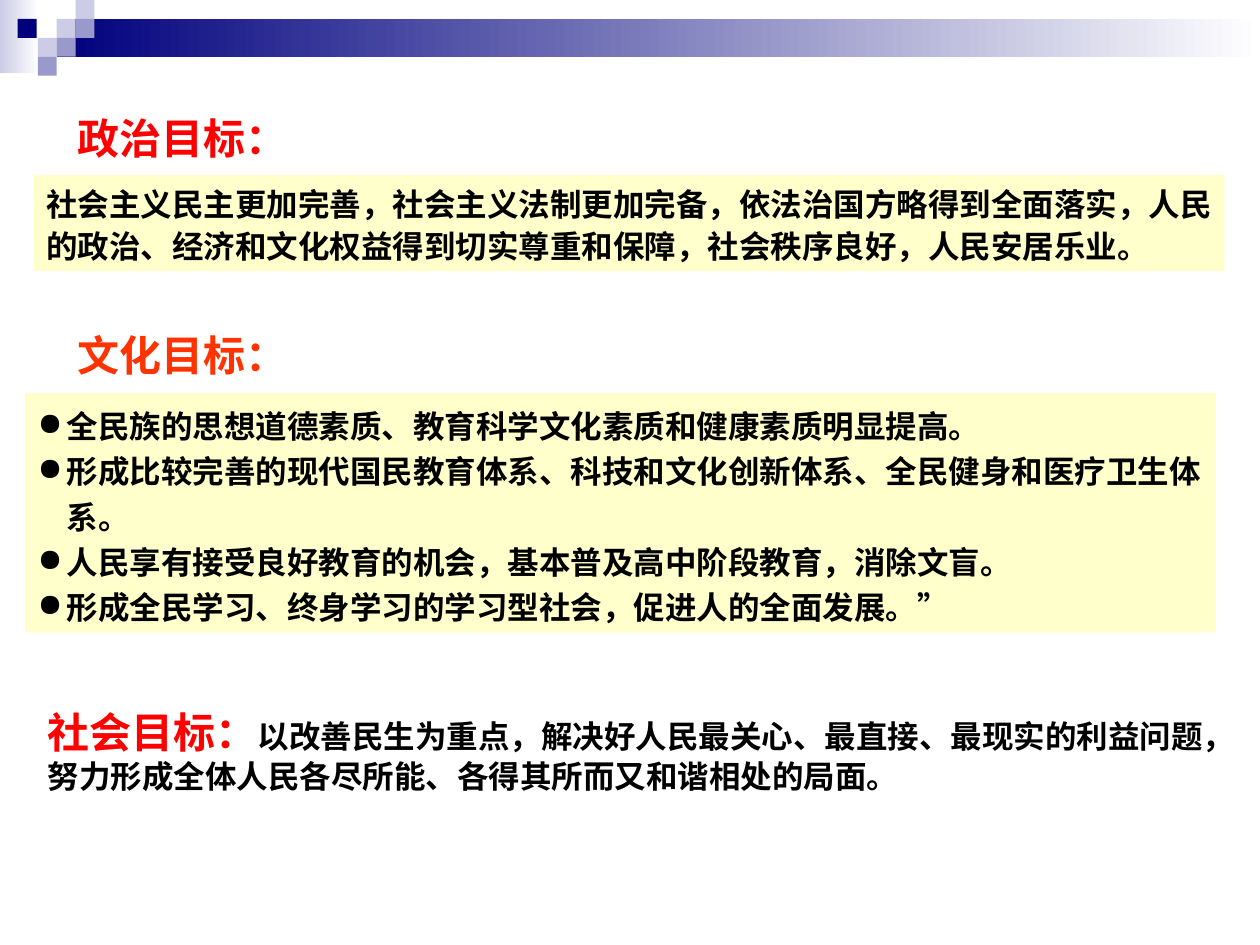
import lxml.etree
import pptx
import pptx.dml.color
import pptx.enum.shapes
import pptx.enum.text
import pptx.oxml.ns
import pptx.util
from pptx.util import Inches

NAVY = pptx.dml.color.RGBColor(0x00, 0x00, 0x7D)
LAVENDER = pptx.dml.color.RGBColor(0xCC, 0xCC, 0xE6)
VIOLET = pptx.dml.color.RGBColor(0x99, 0x99, 0xCC)
CREAM = pptx.dml.color.RGBColor(0xFF, 0xFF, 0xCC)
WHITE = pptx.dml.color.RGBColor(0xFF, 0xFF, 0xFF)
BLACK = pptx.dml.color.RGBColor(0x00, 0x00, 0x00)
RED = pptx.dml.color.RGBColor(0xFF, 0x00, 0x00)
ORANGE = pptx.dml.color.RGBColor(0xFF, 0x33, 0x00)

presentation = pptx.Presentation()
presentation.slide_width = Inches(10)
presentation.slide_height = Inches(7.5)
slide = presentation.slides.add_slide(presentation.slide_layouts[6])


def add_rectangle(left, top, width, height, color, fade=False):
    """Add a borderless rectangle, optionally fading to white on the right."""
    shape = slide.shapes.add_shape(
        pptx.enum.shapes.MSO_SHAPE.RECTANGLE,
        Inches(left), Inches(top), Inches(width), Inches(height))
    shape.shadow.inherit = False
    shape.line.fill.background()
    if fade:
        shape.fill.gradient()
        shape.fill.gradient_angle = 0
        for stop, stop_color in zip(shape.fill.gradient_stops, (color, WHITE)):
            stop.color.rgb = stop_color
    else:
        shape.fill.solid()
        shape.fill.fore_color.rgb = color
    return shape


def write_text(shape, paragraphs, wrap=True, line_spacing=None, bullet=None):
    """Fill a shape with paragraphs, each a list of (text, size, color) runs."""
    frame = shape.text_frame
    frame.word_wrap = wrap
    frame.auto_size = pptx.enum.text.MSO_AUTO_SIZE.SHAPE_TO_FIT_TEXT
    frame.vertical_anchor = pptx.enum.text.MSO_ANCHOR.TOP
    for index, runs in enumerate(paragraphs):
        paragraph = frame.add_paragraph() if index else frame.paragraphs[0]
        paragraph.alignment = pptx.enum.text.PP_ALIGN.LEFT
        if line_spacing:
            paragraph.line_spacing = line_spacing
        if bullet:
            properties = paragraph._p.get_or_add_pPr()
            properties.set("marL", str(Inches(0.23)))
            properties.set("indent", str(-Inches(0.23)))
            mark = lxml.etree.SubElement(properties, pptx.oxml.ns.qn("a:buChar"))
            mark.set("char", bullet)
        for text, size, color in runs:
            run = paragraph.add_run()
            run.text = text
            run.font.name = "Arial"
            run.font.size = pptx.util.Pt(size)
            run.font.bold = True
            run.font.color.rgb = color


# Header band and its mosaic of small squares
add_rectangle(0, 0, 0.31, 0.58, LAVENDER, fade=True)
add_rectangle(0.45, 0.15, 9.55, 0.3, NAVY, fade=True)
for left, top, color in [
    (0.45, 0.15, LAVENDER),
    (0.6, 0, LAVENDER),
    (0.6, 0.15, VIOLET),
    (0.3, 0.3, LAVENDER),
    (0.14, 0.15, NAVY),
    (0.45, 0.3, VIOLET),
    (0.3, 0.45, VIOLET),
]:
    add_rectangle(left, top, 0.15, 0.15, color)

# Headings of the two panels
for heading, top, color in [("政治目标：", 0.84, RED), ("文化目标：", 2.57, ORANGE)]:
    box = slide.shapes.add_textbox(Inches(0.52), Inches(top), Inches(1.86), Inches(0.5))
    write_text(box, [[(heading, 24, color)]], wrap=False)

political_goal = (
    "社会主义民主更加完善，社会主义法制更加完备，依法治国方略得到全面落实，"
    "人民的政治、经济和文化权益得到切实尊重和保障，社会秩序良好，人民安居乐业。")
political_panel = add_rectangle(0.27, 1.39, 9.45, 0.76, CREAM)
write_text(political_panel, [[(political_goal, 18, BLACK)]], line_spacing=1.1)

cultural_goals = [
    "全民族的思想道德素质、教育科学文化素质和健康素质明显提高。",
    "形成比较完善的现代国民教育体系、科技和文化创新体系、全民健身和医疗卫生体系。",
    "人民享有接受良好教育的机会，基本普及高中阶段教育，消除文盲。",
    "形成全民学习、终身学习的学习型社会，促进人的全面发展。”",
]
cultural_panel = add_rectangle(0.2, 3.12, 9.45, 1.9, CREAM)
write_text(cultural_panel, [[(goal, 18, BLACK)] for goal in cultural_goals],
           line_spacing=1.2, bullet="●")

social_box = slide.shapes.add_textbox(Inches(0.28), Inches(5.56), Inches(9.61), Inches(0.8))
write_text(social_box, [
    [("社会目标：", 24, RED),
     ("以改善民生为重点，解决好人民最关心、最直接、最现实的利益问题，", 18, BLACK)],
    [("努力形成全体人民各尽所能、各得其所而又和谐相处的局面。", 18, BLACK)],
], wrap=False)

presentation.save("out.pptx")
